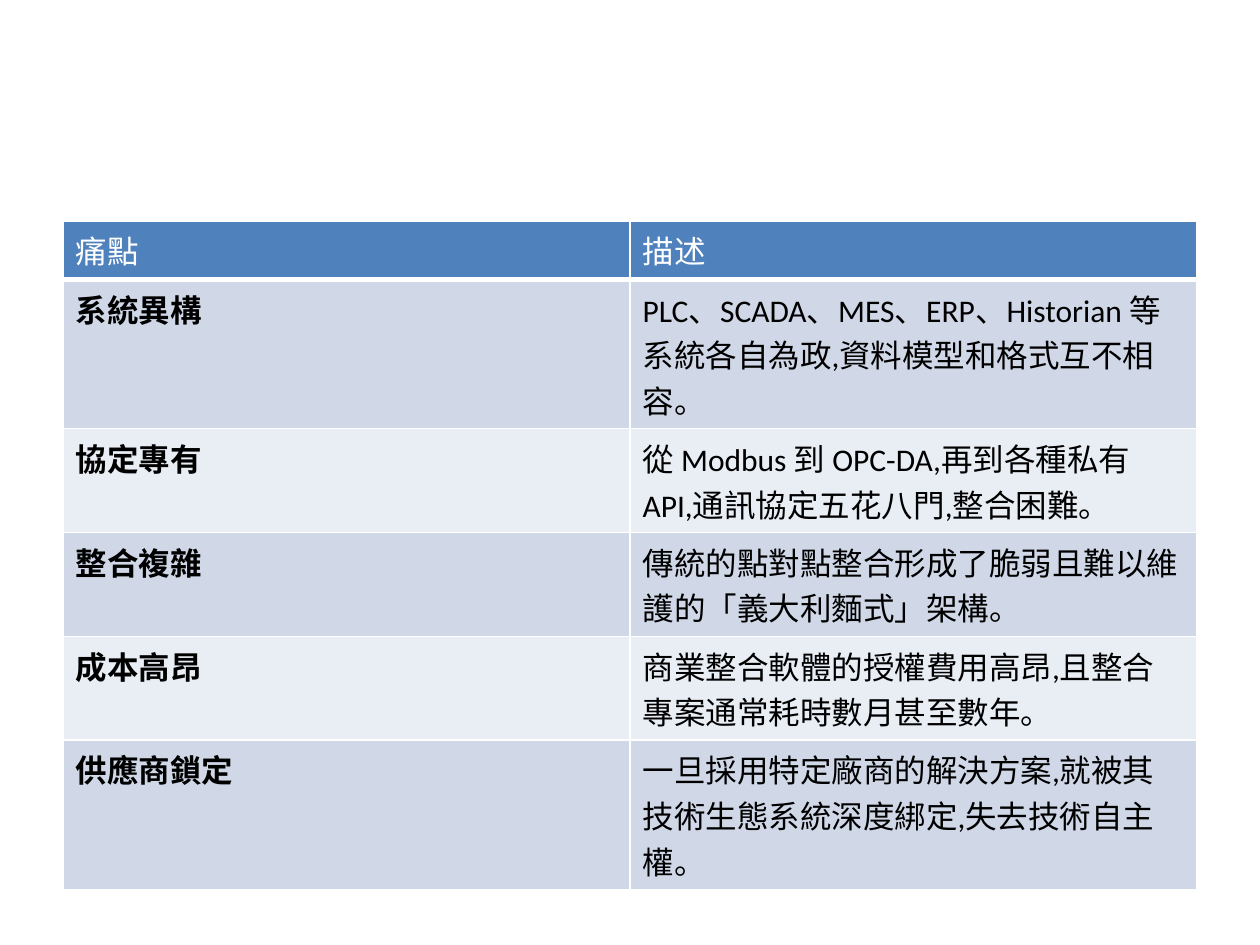
from lxml import etree
from pptx import Presentation
from pptx.dml.color import RGBColor
from pptx.oxml.ns import qn
from pptx.util import Pt

# Content: pain point, description
HEADER = ("痛點", "描述")
PAIN_POINTS = [
    ("系統異構", "PLC、SCADA、MES、ERP、Historian 等系統各自為政,資料模型和格式互不相容。"),
    ("協定專有", "從 Modbus 到 OPC-DA,再到各種私有 API,通訊協定五花八門,整合困難。"),
    ("整合複雜", "傳統的點對點整合形成了脆弱且難以維護的「義大利麵式」架構。"),
    ("成本高昂", "商業整合軟體的授權費用高昂,且整合專案通常耗時數月甚至數年。"),
    ("供應商鎖定", "一旦採用特定廠商的解決方案,就被其技術生態系統深度綁定,失去技術自主權。"),
]
ROW_LINES = (1, 3, 2, 2, 2, 3)

COLORS = {
    "header": "4F81BD",
    "odd": "D0D8E8",
    "even": "E9EDF4",
    "white": "FFFFFF",
    "black": "000000",
}
FONT, FONT_SIZE = "Calibri", 18

# Layout in px, 126 to the inch
SLIDE_W, SLIDE_H = 1260, 945
LEFT, TOP, COLUMN_W = 63, 221, 567
LINE_H, ROW_PADDING = 45, 12


def px(length):
    return round(length * 914400 / 126)


def set_borders(cell, bottom_width):
    properties = cell._tc.get_or_add_tcPr()
    widths = {"a:lnL": 1, "a:lnR": 1, "a:lnT": 1, "a:lnB": bottom_width}
    for position, (side, width) in enumerate(widths.items()):
        line = etree.Element(qn(side), w=str(Pt(width)))
        fill = etree.SubElement(line, qn("a:solidFill"))
        etree.SubElement(fill, qn("a:srgbClr"), val=COLORS["white"])
        properties.insert(position, line)


def fill_cell(cell, text, fill, color, bold, bottom_width):
    cell.fill.solid()
    cell.fill.fore_color.rgb = RGBColor.from_string(COLORS[fill])
    set_borders(cell, bottom_width)
    cell.text = text
    font = cell.text_frame.paragraphs[0].runs[0].font
    font.name, font.size, font.bold = FONT, Pt(FONT_SIZE), bold
    font.color.rgb = RGBColor.from_string(COLORS[color])


def main():
    deck = Presentation()
    deck.slide_width, deck.slide_height = px(SLIDE_W), px(SLIDE_H)
    slide = deck.slides.add_slide(deck.slide_layouts[6])

    # Table frame
    rows = [HEADER, *PAIN_POINTS]
    heights = [lines * LINE_H + ROW_PADDING for lines in ROW_LINES]
    table = slide.shapes.add_table(
        len(rows), len(HEADER), px(LEFT), px(TOP),
        px(COLUMN_W * len(HEADER)), px(sum(heights))).table
    for column in table.columns:
        column.width = px(COLUMN_W)

    # Header row, then banded pain points with bold names
    for r, (row, height) in enumerate(zip(rows, heights)):
        table.rows[r].height = px(height)
        is_header = r == 0
        fill = "header" if is_header else ("even", "odd")[r % 2]
        for c, text in enumerate(row):
            fill_cell(table.cell(r, c), text, fill,
                      color="white" if is_header else "black",
                      bold=not is_header and c == 0,
                      bottom_width=3 if is_header else 1)

    deck.save("out.pptx")


if __name__ == "__main__":
    main()
